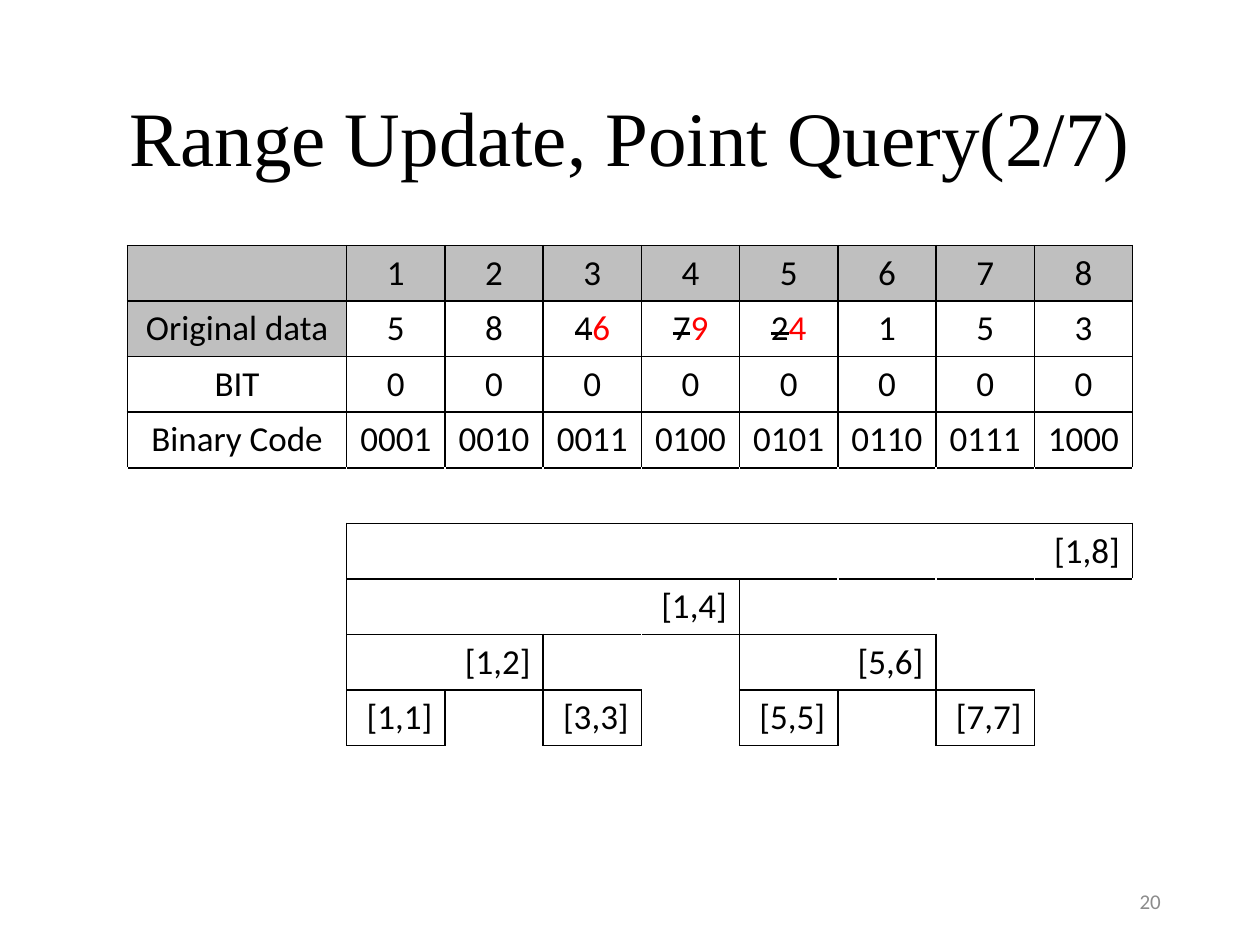
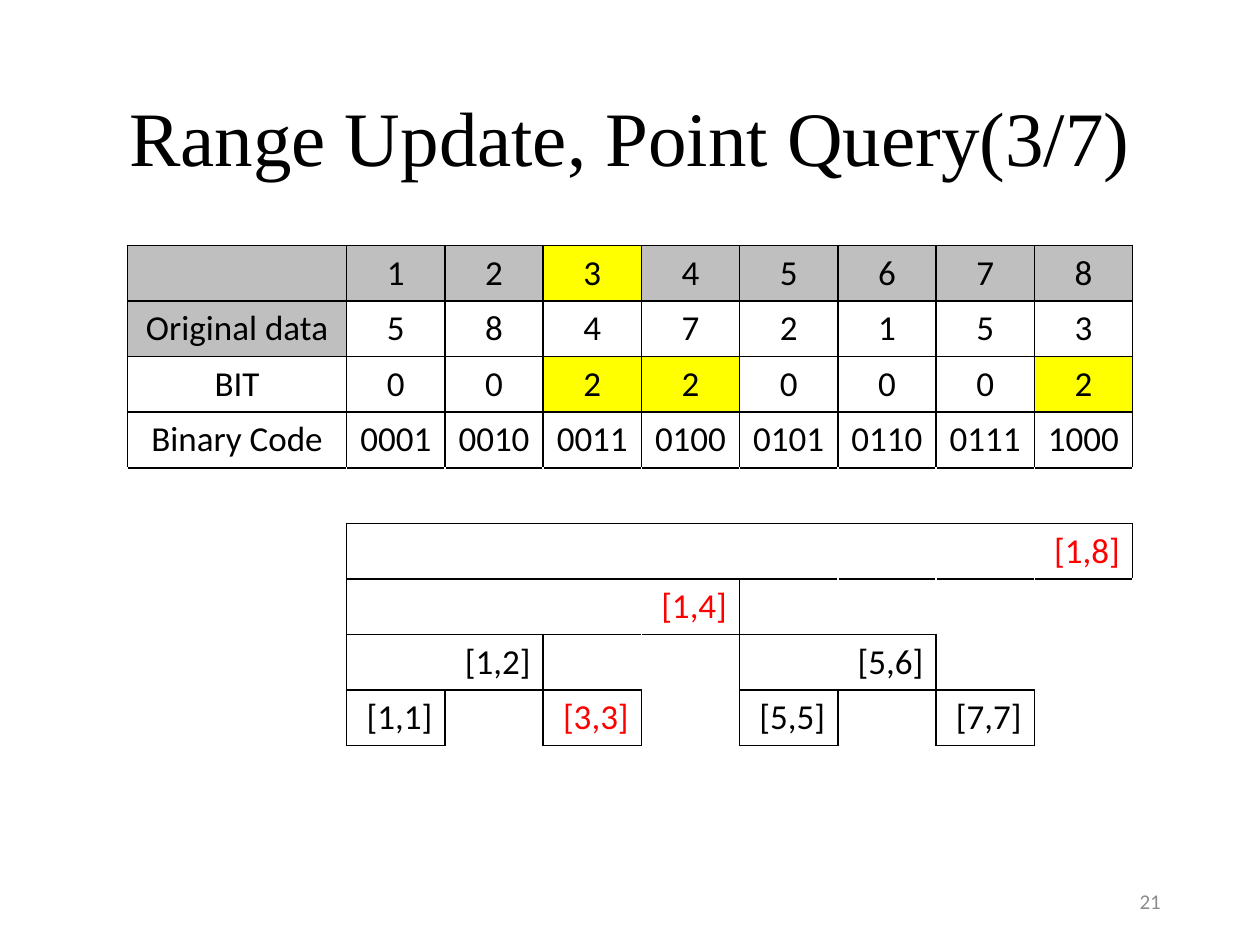
from itertools import product
from math import log2

from lxml.etree import SubElement
from pptx import Presentation
from pptx.dml.color import RGBColor
from pptx.enum.text import MSO_ANCHOR, PP_ALIGN
from pptx.oxml.ns import qn
from pptx.util import Cm, Pt

BLACK = RGBColor(0x00, 0x00, 0x00)
WHITE = RGBColor(0xFF, 0xFF, 0xFF)
RED = RGBColor(0xFF, 0x00, 0x00)
YELLOW = RGBColor(0xFF, 0xFF, 0x00)
HEADER_GRAY = RGBColor(0xBF, 0xBF, 0xBF)
NUMBER_GRAY = RGBColor(0x8C, 0x8C, 0x8C)

# Content: updates and bit values are keyed by index
LABELS = ["", "Original data", "BIT", "Binary Code"]
ORIGINAL_DATA = [5, 8, 4, 7, 2, 1, 5, 3]
RANGES = [(1, 8), (1, 4), (1, 2), (5, 6), (1, 1), (3, 3), (5, 5), (7, 7)]
SLIDES = [
    {"part": 2, "number": 20, "updates": {3: 6, 4: 9, 5: 4}, "bits": {}, "marked": None},
    {"part": 3, "number": 21, "updates": {}, "bits": {3: 2, 4: 2, 8: 2}, "marked": 3},
]

# Grid: four data rows, a gap, then one row for each range length
ROW_COUNT, COLUMN_COUNT = 9, 9
LABEL_WIDTH, INDEX_WIDTH, ROW_HEIGHT = Cm(4.42), Cm(1.98), Cm(1.12)


def range_row(low, high):
    return ROW_COUNT - 1 - int(log2(high - low + 1))


BOXED = set(product(range(len(LABELS)), range(COLUMN_COUNT)))
for low, high in RANGES:
    BOXED.update((range_row(low, high), column) for column in range(low, high + 1))


def add_text(frame, text, size=20, font="Calibri", color=BLACK,
             align=PP_ALIGN.CENTER, strike=False, spacing=None):
    paragraph = frame.paragraphs[0]
    paragraph.alignment = align
    if spacing:
        paragraph.line_spacing = spacing
    run = paragraph.add_run()
    run.text = str(text)
    run.font.size, run.font.name = Pt(size), font
    run.font.color.rgb = color
    if strike:
        run._r.get_or_add_rPr().set("strike", "sngStrike")


def add_text_box(slide, left, top, width, height, text, **text_format):
    frame = slide.shapes.add_textbox(left, top, width, height).text_frame
    frame.word_wrap = True
    frame.vertical_anchor = MSO_ANCHOR.MIDDLE
    add_text(frame, text, **text_format)


def set_borders(cell, row, column):
    """Draw an edge black where a box lies on either side of it."""
    neighbours = {"lnL": (row, column - 1), "lnR": (row, column + 1),
                  "lnT": (row - 1, column), "lnB": (row + 1, column)}
    properties = cell._tc.get_or_add_tcPr()
    for tag, neighbour in neighbours.items():
        color = BLACK if {(row, column), neighbour} & BOXED else WHITE
        line = SubElement(properties, qn(f"a:{tag}"), w=str(Pt(1)))
        fill = SubElement(line, qn("a:solidFill"))
        SubElement(fill, qn("a:srgbClr"), val=str(color))


def set_fill(cell, color):
    cell.fill.solid()
    cell.fill.fore_color.rgb = color


def add_tree_table(slide, updates, bits, marked):
    table = slide.shapes.add_table(
        ROW_COUNT, COLUMN_COUNT, Cm(2.57), Cm(4.95),
        LABEL_WIDTH + INDEX_WIDTH * (COLUMN_COUNT - 1), ROW_HEIGHT * ROW_COUNT).table
    table.first_row = table.horz_banding = False
    for row in table.rows:
        row.height = ROW_HEIGHT
    for index, column in enumerate(table.columns):
        column.width = INDEX_WIDTH if index else LABEL_WIDTH
    for row, column in product(range(ROW_COUNT), range(COLUMN_COUNT)):
        cell = table.cell(row, column)
        cell.vertical_anchor = MSO_ANCHOR.MIDDLE
        set_borders(cell, row, column)
        cell.fill.background()

    # Row labels
    for row, label in enumerate(LABELS):
        if label:
            add_text(table.cell(row, 0).text_frame, label)
    for row in (0, 1):
        set_fill(table.cell(row, 0), HEADER_GRAY)

    # Index, data, tree value and binary code
    for index, value in enumerate(ORIGINAL_DATA, start=1):
        values = [index, value, bits.get(index, 0), f"{index:04b}"]
        fills = [YELLOW if index == marked else HEADER_GRAY, WHITE,
                 YELLOW if index in bits else WHITE, WHITE]
        for row, (text, color) in enumerate(zip(values, fills)):
            cell = table.cell(row, index)
            set_fill(cell, color)
            add_text(cell.text_frame, text, strike=row == 1 and index in updates)
        if index in updates:
            add_text(table.cell(1, index).text_frame, updates[index], color=RED)

    # Range boxes, red where the tree value at their end has changed
    for low, high in RANGES:
        row = range_row(low, high)
        cell = table.cell(row, low)
        if high > low:
            cell.merge(table.cell(row, high))
        add_text(cell.text_frame, f"[{low},{high}]", align=PP_ALIGN.RIGHT,
                 color=RED if high in bits else BLACK)


def main():
    presentation = Presentation()
    presentation.slide_width, presentation.slide_height = Cm(25.4), Cm(19.05)
    for content in SLIDES:
        slide = presentation.slides.add_slide(presentation.slide_layouts[6])
        add_text_box(slide, Cm(1.75), Cm(1.01), Cm(21.9), Cm(3.68),
                     f"Range Update, Point Query({content['part']}/7)",
                     size=44, font="Times New Roman", spacing=0.9)
        add_text_box(slide, Cm(17.94), Cm(17.66), Cm(5.71), Cm(1.01), content["number"],
                     size=12, color=NUMBER_GRAY, align=PP_ALIGN.RIGHT)
        add_tree_table(slide, content["updates"], content["bits"], content["marked"])
    presentation.save("out.pptx")


if __name__ == "__main__":
    main()
